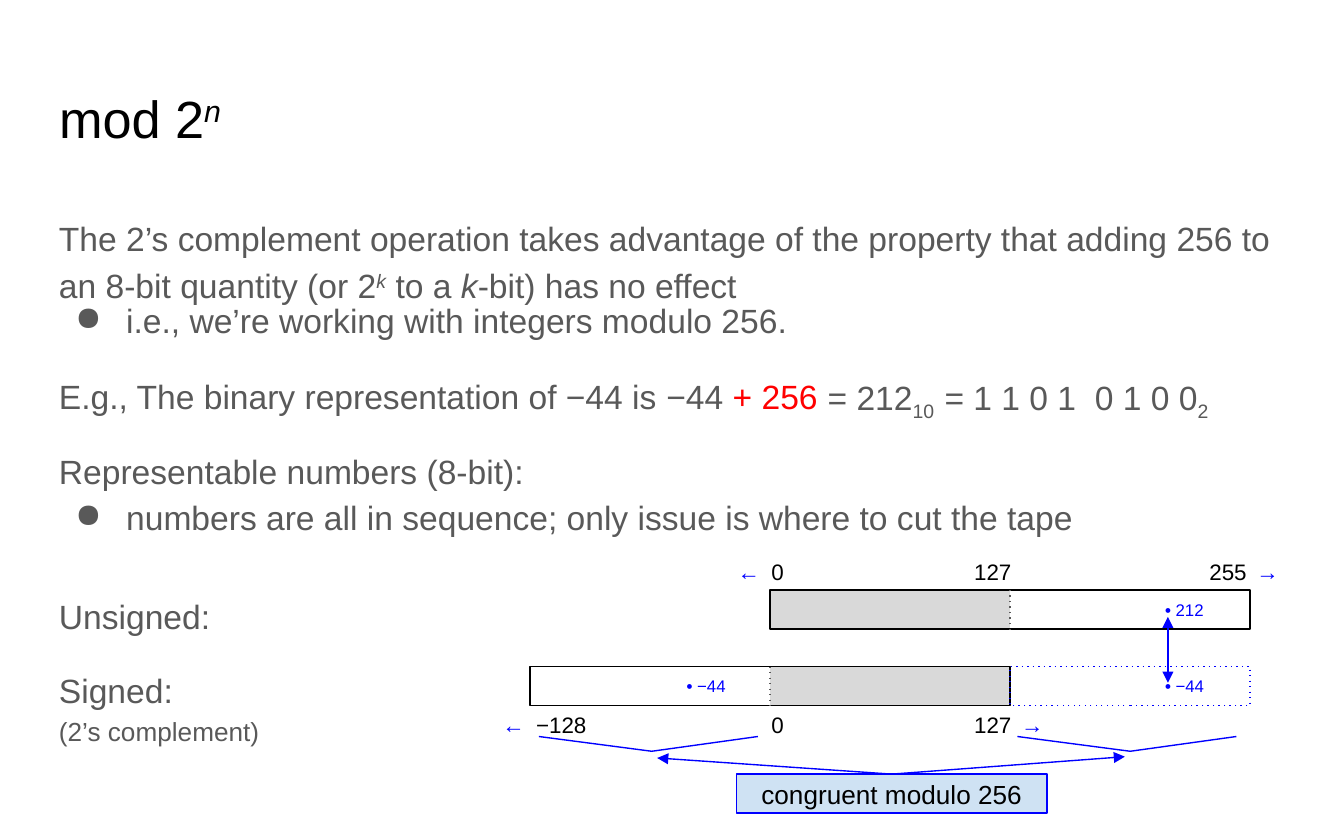
"""Build the slide that explains two's complement as arithmetic modulo 2^n."""
from dataclasses import dataclass
from typing import Any, Optional

import lxml.etree
import pptx
import pptx.dml.color
import pptx.enum.dml
import pptx.enum.shapes
import pptx.enum.text
import pptx.oxml.ns
import pptx.util

Inches = pptx.util.Inches
qn = pptx.oxml.ns.qn
ALIGN = pptx.enum.text.PP_ALIGN
ANCHOR = pptx.enum.text.MSO_ANCHOR
RECTANGLE = pptx.enum.shapes.MSO_SHAPE.RECTANGLE
STRAIGHT = pptx.enum.shapes.MSO_CONNECTOR.STRAIGHT

COLORS = {"black": "000000", "gray": "595959", "shade": "D9D9D9",
          "blue": "0000FF", "pale": "CFE2F3", "red": "FF0000"}
MARGIN, TEXT_WIDTH = 0.34, 9.32
HALF, BAR_HEIGHT = 1.785, 0.29
ZERO, UNSIGNED_TOP, SIGNED_TOP = 5.73, 4.39, 4.96
UNSIGNED_LABELS, SIGNED_LABELS = 4.05, 5.19


@dataclass
class Span:
    text: str
    color: Optional[str] = None
    size: Optional[float] = None
    italic: bool = False
    bold: bool = False
    baseline: int = 0


@dataclass
class Para:
    spans: list[Span]
    bullet: bool = False


@dataclass
class Block:
    left: float
    top: float
    height: float
    paras: list[Para]


@dataclass
class Label:
    text: str
    left: float
    top: float
    width: float
    color: str = "black"


BLOCKS = [
    Block(MARGIN, 1.48, 1.0, [Para([
        Span("The 2’s complement operation takes advantage of the property that "
             "adding 256 to an 8-bit quantity (or 2"),
        Span("k", italic=True, baseline=30), Span(" to a "),
        Span("k", italic=True), Span("-bit) has no effect")])]),
    Block(MARGIN, 2.09, 0.51, [
        Para([Span("i.e., we’re working with integers modulo 256.")], bullet=True)]),
    Block(MARGIN, 2.65, 0.51, [Para([Span("E.g., The binary representation of −44 is")])]),
    Block(4.86, 2.65, 0.51, [Para([Span("−44 "), Span("+ 256", color="red")])]),
    Block(6.06, 2.65, 0.51, [Para([Span("= 212"), Span("10", baseline=-25)])]),
    Block(6.93, 2.65, 0.51, [
        Para([Span("= 1 1 0 1  0 1 0 0"), Span("2", baseline=-25)])]),
    Block(MARGIN, 3.21, 1.0, [
        Para([Span("Representable numbers (8-bit):")]),
        Para([Span("numbers are all in sequence; only issue is where to cut the tape")],
             bullet=True)]),
    Block(MARGIN, 4.29, 0.51, [Para([Span("Unsigned:")])]),
    Block(MARGIN, 4.84, 0.8, [
        Para([Span("Signed:")]), Para([Span("(2’s complement)", size=14)])]),
]

LABELS = [
    Label("←", 5.39, UNSIGNED_LABELS, 0.41, "blue"),
    Label("0", 5.64, UNSIGNED_LABELS, 0.41),
    Label("127", 7.15, UNSIGNED_LABELS, 0.6),
    Label("255", 8.9, UNSIGNED_LABELS, 0.6),
    Label("→", 9.25, UNSIGNED_LABELS, 0.41, "blue"),
    Label("←", 3.64, SIGNED_LABELS, 0.41, "blue"),
    Label("−128", 3.89, SIGNED_LABELS, 0.72),
    Label("0", 5.64, SIGNED_LABELS, 0.41),
    Label("127", 7.15, SIGNED_LABELS, 0.6),
    Label("→", 7.5, SIGNED_LABELS, 0.41, "blue"),
]


def rgb(name: str) -> pptx.dml.color.RGBColor:
    """Return the named palette colour."""
    return pptx.dml.color.RGBColor.from_string(COLORS[name])


def write(box: Any, paras: list[Para], *, size: float = 18, color: str = "gray",
          spacing: float = 1.0, align: Any = ALIGN.LEFT, anchor: Any = ANCHOR.TOP) -> None:
    """Fill a shape with formatted paragraphs."""
    frame = box.text_frame
    frame.word_wrap = True
    frame.auto_size = pptx.enum.text.MSO_AUTO_SIZE.NONE
    frame.vertical_anchor = anchor
    frame.margin_left = frame.margin_right = Inches(0.1)
    frame.margin_top = frame.margin_bottom = Inches(0.1)
    for index, item in enumerate(paras):
        para = frame.add_paragraph() if index else frame.paragraphs[0]
        para.alignment, para.line_spacing = align, spacing
        para.space_before = para.space_after = pptx.util.Pt(0)
        if item.bullet:
            props = para._p.get_or_add_pPr()
            props.set("marL", str(Inches(0.5)))
            props.set("indent", str(Inches(-0.38)))
            lxml.etree.SubElement(props, qn("a:buChar")).set("char", "●")
        for span in item.spans:
            run = para.add_run()
            run.text = span.text
            run.font.name = "Arial"
            run.font.size = pptx.util.Pt(span.size or size)
            run.font.color.rgb = rgb(span.color or color)
            run.font.italic, run.font.bold = span.italic, span.bold
            if span.baseline:
                run.font._element.set("baseline", str(span.baseline * 1000))


def add_text(page: Any, left: float, top: float, width: float, height: float,
             paras: list[Para], **style: Any) -> None:
    """Add a text box."""
    box = page.shapes.add_textbox(Inches(left), Inches(top), Inches(width), Inches(height))
    write(box, paras, **style)


def stroke(shape: Any, color: str, dotted: bool = False) -> None:
    """Outline a shape or connector with a thin line."""
    shape.line.color.rgb = rgb(color)
    shape.line.width = pptx.util.Pt(0.75)
    if dotted:
        shape.line.dash_style = pptx.enum.dml.MSO_LINE.ROUND_DOT
        for dash in shape._element.iter(qn("a:prstDash")):
            dash.set("val", "dot")


def add_bar(parent: Any, left: float, top: float, width: float, *, fill: str = "",
            line: str = "", dotted: bool = False) -> Any:
    """Add a rectangle one bar high."""
    bar = parent.shapes.add_shape(RECTANGLE, Inches(left), Inches(top),
                                  Inches(width), Inches(BAR_HEIGHT))
    bar.shadow.inherit = False
    if fill:
        bar.fill.solid()
        bar.fill.fore_color.rgb = rgb(fill)
    else:
        bar.fill.background()
    if line:
        stroke(bar, line, dotted)
    else:
        bar.line.fill.background()
    return bar


def add_line(parent: Any, start: tuple[float, float], end: tuple[float, float],
             color: str, dotted: bool = False, arrows: tuple[str, ...] = ()) -> Any:
    """Add a straight connector with optional headEnd and tailEnd arrows."""
    line = parent.shapes.add_connector(STRAIGHT, *map(Inches, start + end))
    stroke(line, color, dotted)
    for arrow in arrows:
        lxml.etree.SubElement(line.line._get_or_add_ln(), qn(f"a:{arrow}")).set("type", "triangle")
    lxml.etree.SubElement(line._element.spPr, qn("a:effectLst"))
    return line


def add_tape(page: Any, left: float, top: float) -> None:
    """Add a two-part tape with the shared range shaded."""
    add_bar(page, ZERO, top, HALF, fill="shade")
    group = page.shapes.add_group_shape()
    frame = add_bar(group, left, top, 2 * HALF, line="black")
    middle = left + HALF
    divider = add_line(group, (middle, top), (middle, top + BAR_HEIGHT), "gray", dotted=True)
    divider.begin_connect(frame, 0)
    divider.end_connect(frame, 2)


def add_brace(page: Any, left: float) -> None:
    """Add a shallow open bracket under a range."""
    builder = page.shapes.build_freeform(Inches(left), Inches(5.48))
    builder.add_line_segments([(Inches(left + 0.84), Inches(5.59)),
                               (Inches(left + 1.63), Inches(5.48))], close=False)
    brace = builder.convert_to_shape()
    brace.shadow.inherit = False
    brace.fill.background()
    stroke(brace, "blue")


def main() -> None:
    """Create and save the deck."""
    deck = pptx.Presentation()
    deck.slide_width, deck.slide_height = Inches(10), Inches(6.25)
    page = deck.slides.add_slide(deck.slide_layouts[5])

    title = page.shapes.title
    title.left, title.top = Inches(MARGIN), Inches(0.54)
    title.width, title.height = Inches(TEXT_WIDTH), Inches(0.7)
    write(title, [Para([Span("mod 2"), Span("n", italic=True, baseline=30)])],
          size=28, color="black")

    add_tape(page, ZERO, UNSIGNED_TOP)
    add_tape(page, ZERO - HALF, SIGNED_TOP)
    add_bar(page, ZERO + HALF, SIGNED_TOP, HALF, line="blue", dotted=True)

    for block in BLOCKS:
        add_text(page, block.left, block.top, MARGIN + TEXT_WIDTH - block.left,
                 block.height, block.paras, spacing=1.15)
    for label in LABELS:
        add_text(page, label.left, label.top, label.width, 0.24,
                 [Para([Span(label.text)])], size=12, color=label.color)
    for value, left, top in (("−44", 5.01, SIGNED_TOP), ("−44", 8.57, SIGNED_TOP),
                             ("212", 8.57, UNSIGNED_TOP)):
        add_text(page, left, top, 0.72, BAR_HEIGHT,
                 [Para([Span("•", bold=True), Span(f" {value}")])],
                 size=9, color="blue", anchor=ANCHOR.MIDDLE)

    callout = add_bar(page, 5.48, 5.76, 2.31, fill="pale", line="blue")
    write(callout, [Para([Span("congruent modulo 256")])], size=14, color="black",
          align=ALIGN.CENTER, anchor=ANCHOR.MIDDLE)
    for left, tip in ((4.01, (4.89, 5.64)), (7.57, (8.37, 5.63))):
        add_brace(page, left)
        add_line(page, tip, (6.63, 5.76), "blue", arrows=("headEnd",)).end_connect(callout, 0)
    add_line(page, (8.69, 4.59), (8.69, 5.08), "blue", arrows=("headEnd", "tailEnd"))

    deck.save("out.pptx")


if __name__ == "__main__":
    main()
